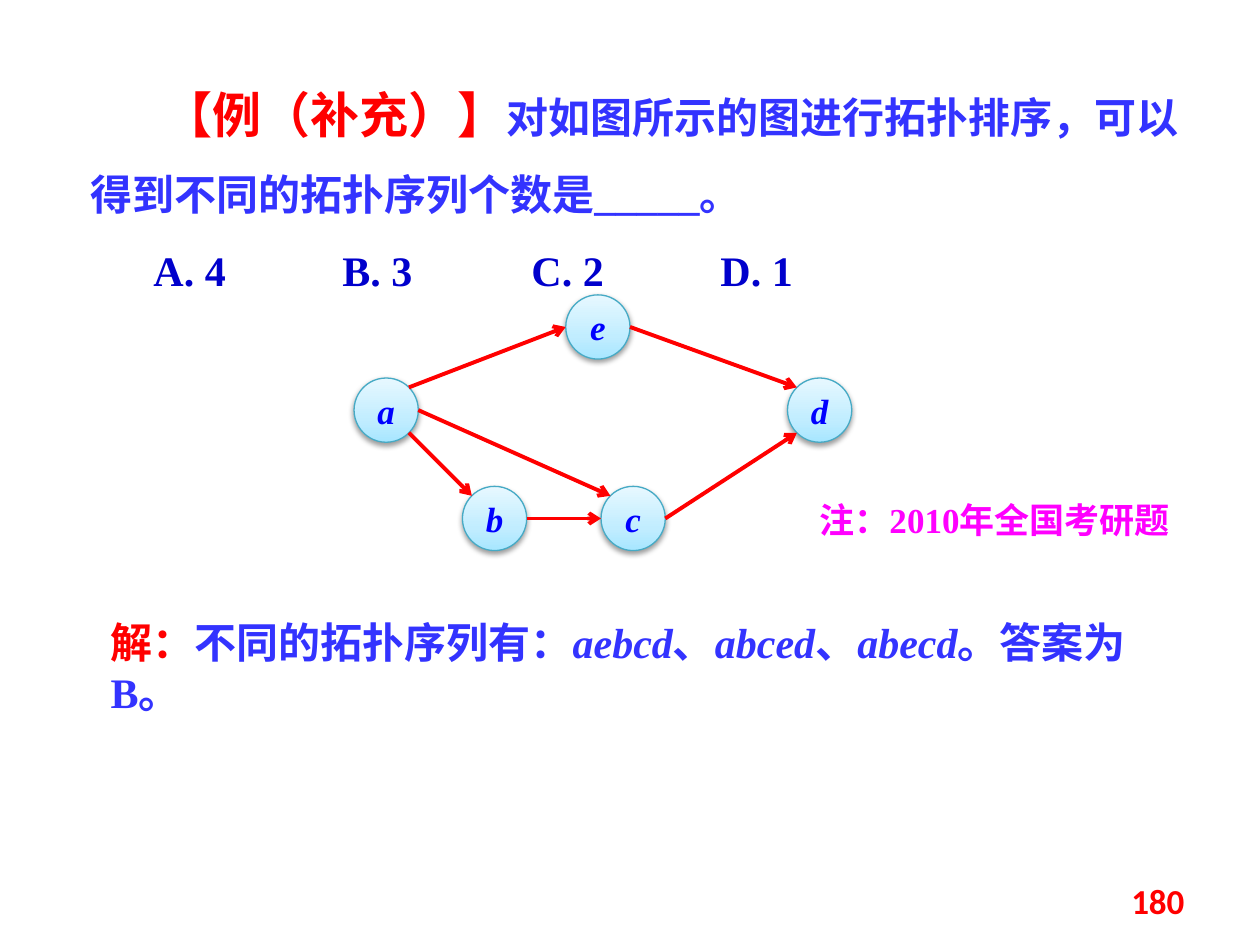
import math
from dataclasses import dataclass

import lxml.etree
import pptx
import pptx.dml.color
import pptx.enum.shapes
import pptx.enum.text
import pptx.oxml
import pptx.oxml.ns
import pptx.util

Inches = pptx.util.Inches
Pt = pptx.util.Pt
ALIGN = pptx.enum.text.PP_ALIGN
ANCHOR = pptx.enum.text.MSO_ANCHOR
NS = pptx.oxml.ns.nsdecls("a")
SERIF = "Times New Roman"
CJK = "Noto Sans CJK SC"
RED = "FF0000"
BLUE = "3333FF"
DIAMETER = 0.51


@dataclass
class Run:
    text: str
    color: str = BLUE
    size: float = 24
    font: str = SERIF
    bold: bool = True
    italic: bool = False


@dataclass
class Node:
    name: str
    left: float
    top: float

    def rim(self, degrees: float) -> tuple[float, float]:
        radius = DIAMETER / 2
        angle = math.radians(degrees)
        return (self.left + radius + radius * math.cos(angle),
                self.top + radius + radius * math.sin(angle))


@dataclass
class Edge:
    start: str
    start_angle: float
    end: str
    end_angle: float


def rgb(color: str) -> pptx.dml.color.RGBColor:
    return pptx.dml.color.RGBColor.from_string(color)


def add_run(p, run: Run) -> None:
    r = p.add_run()
    r.text = run.text
    r.font.size = Pt(run.size)
    r.font.bold = run.bold
    r.font.italic = run.italic
    r.font.color.rgb = rgb(run.color)
    r.font.name = run.font
    ea = lxml.etree.SubElement(r.font._element, pptx.oxml.ns.qn("a:ea"))
    ea.set("typeface", CJK)


def add_text(s, box: tuple[float, ...], paragraphs: list[list[Run]],
             align=ALIGN.LEFT, spacing: float = 1.0,
             indents: tuple[float, ...] = (), anchor=ANCHOR.TOP) -> None:
    tf = s.shapes.add_textbox(*map(Inches, box)).text_frame
    tf.word_wrap = True
    tf.vertical_anchor = anchor
    for i, runs in enumerate(paragraphs):
        p = tf.add_paragraph() if i else tf.paragraphs[0]
        p.alignment = align
        p.line_spacing = spacing
        if indents:
            pPr = p._p.get_or_add_pPr()
            pPr.set("marL", "0")
            pPr.set("indent", str(Inches(indents[i])))
        for run in runs:
            add_run(p, run)


def add_node(s, node: Node) -> None:
    sp = s.shapes.add_shape(
        pptx.enum.shapes.MSO_SHAPE.OVAL,
        *map(Inches, (node.left, node.top, DIAMETER, DIAMETER)))
    sp.line.color.rgb = rgb("46AAC5")
    sp.line.width = Pt(0.75)
    stops = "".join(
        f'<a:gs pos="{pos * 1000}"><a:srgbClr val="{color}"/></a:gs>'
        for pos, color in ((0, "A7E6FF"), (35, "C1EDFF"), (100, "E7F8FF")))
    spPr = sp._element.spPr
    spPr.find(pptx.oxml.ns.qn("a:ln")).addprevious(pptx.oxml.parse_xml(
        f'<a:gradFill {NS} rotWithShape="1"><a:gsLst>{stops}</a:gsLst>'
        '<a:lin ang="16200000" scaled="0"/></a:gradFill>'))
    spPr.append(pptx.oxml.parse_xml(
        f'<a:effectLst {NS}><a:outerShdw blurRad="{Pt(3.1)}" dist="{Pt(1.6)}" '
        'dir="5400000" rotWithShape="0"><a:srgbClr val="000000">'
        '<a:alpha val="38000"/></a:srgbClr></a:outerShdw></a:effectLst>'))
    tf = sp.text_frame
    tf.word_wrap = False
    tf.vertical_anchor = ANCHOR.MIDDLE
    p = tf.paragraphs[0]
    p.alignment = ALIGN.CENTER
    add_run(p, Run(node.name, "0000FF", 20, italic=True))


def add_edge(s, nodes: dict[str, Node], edge: Edge) -> None:
    start = nodes[edge.start].rim(edge.start_angle)
    end = nodes[edge.end].rim(edge.end_angle)
    line = s.shapes.add_connector(
        pptx.enum.shapes.MSO_CONNECTOR.STRAIGHT, *map(Inches, start + end))
    line.line.color.rgb = rgb(RED)
    line.line.width = Pt(2.25)
    ln = line.line._get_or_add_ln()
    ln.append(pptx.oxml.parse_xml(f'<a:tailEnd {NS} type="arrow"/>'))
    line._element.spPr.append(pptx.oxml.parse_xml(f"<a:effectLst {NS}/>"))


def main() -> None:
    prs = pptx.Presentation()
    prs.slide_width = Inches(10)
    prs.slide_height = Inches(7.5)
    s = prs.slides.add_slide(prs.slide_layouts[6])

    question = [
        Run("【例（补充）】", RED, 28, CJK),
        Run("对如图所示的图进行拓扑排序，可以得到不同的拓扑序列个数是"),
        Run("_____"),
        Run("。"),
    ]
    options = [Run("A. 4\t\tB. 3\t\tC. 2\t\tD. 1", "0000CC")]
    add_text(s, (0.62, 0.39, 9.14, 2.02), [question, options],
             spacing=1.5, indents=(0.58, 0.5))

    nodes = {node.name: node for node in (
        Node("e", 4.49, 2.34),
        Node("a", 2.81, 3),
        Node("b", 3.67, 3.86),
        Node("c", 4.77, 3.86),
        Node("d", 6.25, 3),
    )}
    for node in nodes.values():
        add_node(s, node)
    for edge in (
        Edge("a", 45, "b", 225),
        Edge("a", -45, "e", 180),
        Edge("e", 0, "d", 225),
        Edge("b", 0, "c", 180),
        Edge("c", 0, "d", 135),
        Edge("a", 0, "c", 225),
    ):
        add_edge(s, nodes, edge)

    answer = [
        Run("解：", RED, font=CJK),
        Run("不同的拓扑序列有："),
        Run("aebcd", italic=True),
        Run("、"),
        Run("abced", italic=True),
        Run("、"),
        Run("abecd", italic=True),
        Run("。答案为B。"),
    ]
    add_text(s, (0.78, 4.84, 8.52, 0.5), [answer])
    add_text(s, (6.33, 3.91, 3.13, 0.44),
             [[Run("注：2010年全国考研题", "FF00FF", 20)]], ALIGN.CENTER)
    add_text(s, (7.17, 6.95, 2.33, 0.4), [[Run("180", RED, 20, "Calibri")]],
             ALIGN.RIGHT, anchor=ANCHOR.MIDDLE)
    prs.save("out.pptx")


if __name__ == "__main__":
    main()
